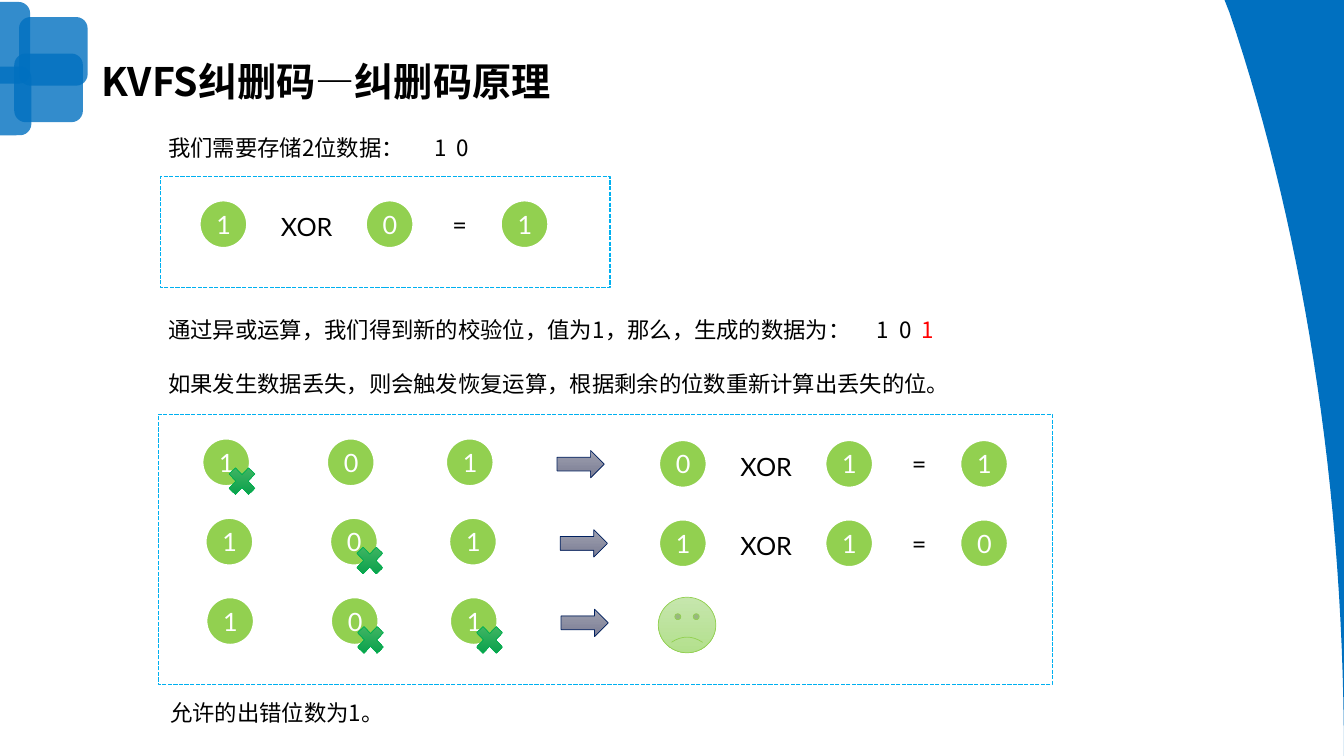
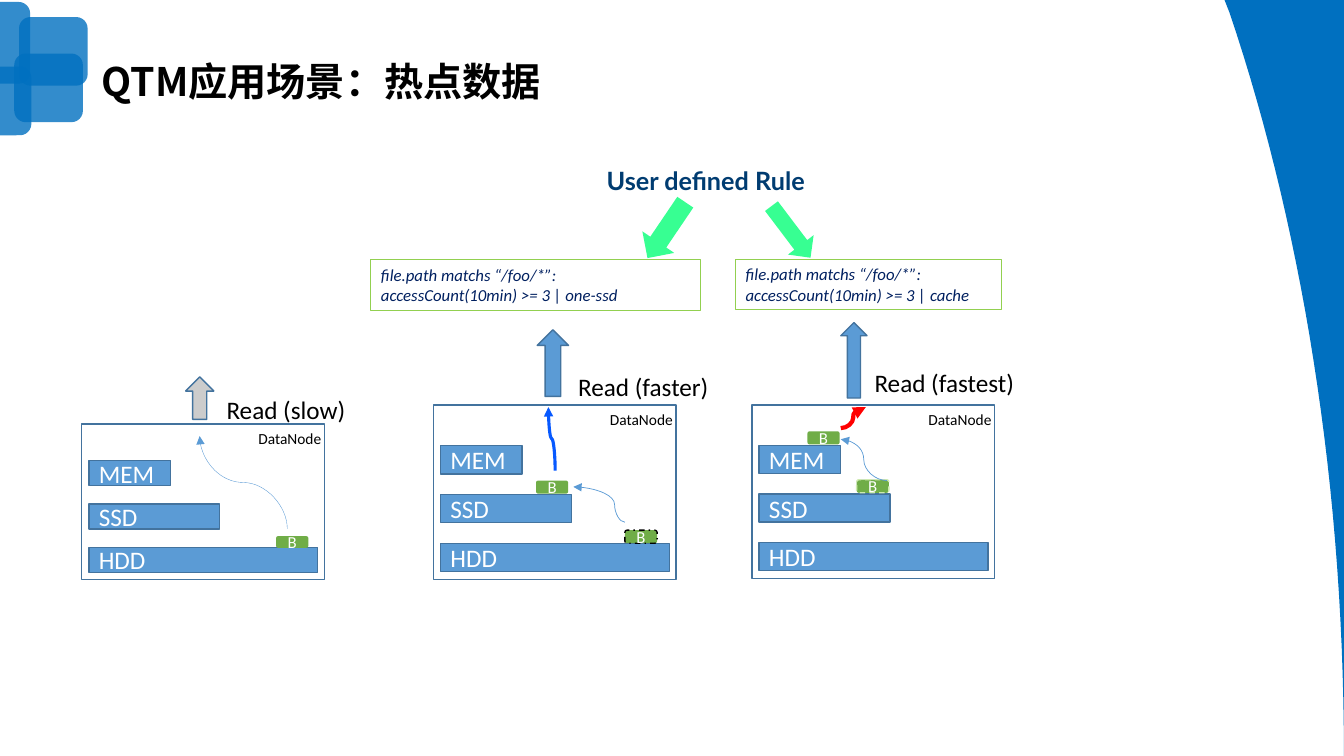
from dataclasses import dataclass

from lxml import etree
from pptx import Presentation
from pptx.dml.color import RGBColor
from pptx.enum import dml, shapes, text
from pptx.oxml.ns import qn
from pptx.util import Cm, Pt

SHAPE = shapes.MSO_SHAPE
DASH = dml.MSO_LINE


@dataclass(frozen=True)
class Theme:
    brand: str = "0070C0"
    ink: str = "000000"
    white: str = "FFFFFF"
    alert: str = "FF0000"
    bit: str = "92D050"
    frame: str = "00B0F0"
    navy: str = "002060"
    steel: tuple = ("9D9FAF", "7C7E94")
    cross: tuple = ("4BB968", "009C47")
    cross_edge: str = "00B050"
    face: tuple = ("C6E6AD", "B3E08D")
    tier: str = "5B9BD5"
    edge: str = "43739E"
    block: str = "70AD47"
    pale_block: str = "CEEAB0"
    idle: str = "CCCCCC"
    hot: str = "0759FF"
    heading: str = "003C71"
    pointer: str = "37FF92"
    cjk: str = "Noto Sans CJK SC"
    latin: str = "Lato"
    diagram: str = "Calibri"
    title_size: int = 28
    large: int = 18
    body: int = 16
    small: int = 12
    tiny: int = 11


T = Theme()


def rgb(value):
    return RGBColor.from_string(value)


def style_run(run, size, font, color, bold=False, italic=False):
    run.font.size = Pt(size)
    run.font.color.rgb = rgb(color)
    run.font.bold = bold
    run.font.italic = italic
    run.font.name = font
    etree.SubElement(run.font._element, qn("a:ea")).set("typeface", font)


def write(frame, content, size, font, color, align=text.PP_ALIGN.LEFT,
          anchor=text.MSO_ANCHOR.TOP, wrap=True, **emphasis):
    frame.text = content
    frame.word_wrap = wrap
    frame.vertical_anchor = anchor
    for paragraph in frame.paragraphs:
        paragraph.alignment = align
        for run in paragraph.runs:
            style_run(run, size, font, color, **emphasis)


def label(slide, x, y, w, h, content, size, font, color=T.ink, **options):
    frame = slide.shapes.add_textbox(Cm(x), Cm(y), Cm(w), Cm(h)).text_frame
    write(frame, content, size, font, color, **options)
    return frame


def paint(shape, fill=None, line=None, width=1, dash=None):
    shape.shadow.inherit = False
    if isinstance(fill, tuple):
        shape.fill.gradient()
        shape.fill.gradient_angle = 270
        for stop, color in zip(shape.fill.gradient_stops, fill):
            stop.color.rgb = rgb(color)
    elif fill:
        shape.fill.solid()
        shape.fill.fore_color.rgb = rgb(fill)
    else:
        shape.fill.background()
    if line:
        shape.line.color.rgb = rgb(line)
        shape.line.width = Pt(width)
        if dash:
            shape.line.dash_style = dash
    else:
        shape.line.fill.background()


def figure(slide, kind, x, y, w, h, fill=None, **outline):
    shape = slide.shapes.add_shape(kind, Cm(x), Cm(y), Cm(w), Cm(h))
    paint(shape, fill, **outline)
    return shape


def curved_arrow(slide, start, end, color, width, upward=False, bend=0.5):
    (x1, y1), (x2, y2) = start, end
    if upward:
        cx, cy = (x1 + x2) / 2, (y1 + y2) / 2
        half_w, half_h = abs(y2 - y1) / 2, abs(x2 - x1) / 2
        x1, y1, x2, y2 = cx - half_w, cy + half_h, cx + half_w, cy - half_h
    arrow = slide.shapes.add_connector(
        shapes.MSO_CONNECTOR.CURVE, Cm(x1), Cm(y1), Cm(x2), Cm(y2))
    arrow.line.color.rgb = rgb(color)
    arrow.line.width = Pt(width)
    properties = arrow._element.spPr
    if upward:
        properties.find(qn("a:xfrm")).set("rot", "16200000")
    geometry = properties.find(qn("a:prstGeom"))
    guides = geometry.find(qn("a:avLst"))
    if guides is None:
        guides = etree.SubElement(geometry, qn("a:avLst"))
    guide = etree.SubElement(guides, qn("a:gd"))
    guide.set("name", "adj1")
    guide.set("fmla", f"val {round(bend * 100000)}")
    line = properties.find(qn("a:ln"))
    etree.SubElement(line, qn("a:tailEnd")).set("type", "triangle")
    etree.SubElement(properties, qn("a:effectLst"))


def swoosh(slide):
    ends = ((33.87, 19.05), (33.87, 12.12), (32.79, 5.66), (30.99, 0.33))
    steps = 30
    curve = []
    for i in range(steps + 1):
        t = i / steps
        weights = ((1 - t) ** 3, 3 * t * (1 - t) ** 2, 3 * t * t * (1 - t), t ** 3)
        curve.append(tuple(Cm(sum(k * p[axis] for k, p in zip(weights, ends)))
                           for axis in (0, 1)))
    outline = slide.shapes.build_freeform(Cm(30.86), 0)
    outline.add_line_segments([(Cm(33.87), 0)] + curve, close=True)
    shape = outline.convert_to_shape()
    paint(shape, T.brand)
    return shape


def corner_tiles(slide):
    tiles = []
    for x, y, h in ((-0.97, 0.05, 2.06), (0.48, 0.43, 1.73),
                    (0.36, 1.35, 1.73), (-0.94, 1.68, 1.73)):
        tile = figure(slide, SHAPE.ROUNDED_RECTANGLE, x, y, 1.73, h, T.brand)
        color = tile._element.spPr.find(".//" + qn("a:srgbClr"))
        etree.SubElement(color, qn("a:alpha")).set("val", "80000")
        tiles.append(tile)
    return tiles


def decorate_layout(layout, slide):
    tree = layout.shapes.element
    for i, part in enumerate([swoosh(slide)] + corner_tiles(slide)):
        part._element.nvSpPr.cNvPr.set("id", str(100 + i))
        tree.insert(2 + i, part._element)


def place_title(slide, content):
    title = slide.shapes.title
    title.left, title.top, title.width, title.height = (
        Cm(2.31), Cm(1.38), Cm(28.75), Cm(1.47))
    write(title.text_frame, content, T.title_size, T.cjk, T.ink,
          anchor=text.MSO_ANCHOR.MIDDLE, bold=True)
    title.text_frame.paragraphs[0].line_spacing = 0.9


def add_tabs(paragraph, first, count, step=0.56):
    stops = etree.SubElement(paragraph._p.get_or_add_pPr(), qn("a:tabLst"))
    for i in range(count):
        stop = etree.SubElement(stops, qn("a:tab"))
        stop.set("pos", str(Cm(first + i * step)))
        stop.set("algn", "l")


def bit(slide, x, y, value):
    circle = figure(slide, SHAPE.OVAL, x, y, 1.2, 1.2, T.bit,
                    line=T.white, width=1.5)
    write(circle.text_frame, value, T.large, T.latin, T.white,
          text.PP_ALIGN.CENTER, text.MSO_ANCHOR.MIDDLE)


def equation(slide, x, y, values):
    for offset, value in zip((0, 4.19, 7.59), values):
        bit(slide, x + offset, y, value)
    label(slide, x + 1.8, y + 0.16, 2.39, 1.02, "XOR", T.large, T.latin)
    label(slide, x + 6.12, y + 0.09, 1.47, 1.02, "=", T.large, T.latin)


def dashed_frame(slide, x, y, w, h):
    figure(slide, SHAPE.RECTANGLE, x, y, w, h, T.white,
           line=T.frame, dash=DASH.SQUARE_DOT)


def recovery_row(slide, x, y, values, lost, solution):
    places = [x + offset for offset in (0, 3.14, 6.14)]
    for place, value in zip(places, values):
        bit(slide, place, y, value)
    for i in lost:
        figure(slide, SHAPE.MATH_MULTIPLY, places[i] + 0.53, y + 0.58, 0.94, 0.99,
               T.cross, line=T.cross_edge, width=0.5)
    figure(slide, SHAPE.RIGHT_ARROW, x + 8.94, y + 0.3, 1.19, 0.69,
           T.steel, line=T.navy, width=0.5)
    if solution:
        equation(slide, 16.61, y + 0.04, solution)
    else:
        face = figure(slide, SHAPE.SMILEY_FACE, 16.59, y, 1.45, 1.4,
                      T.face, line=T.bit, width=0.5)
        face.adjustments[0] = -0.05


def erasure_slide(slide):
    place_title(slide, "KVFS纠删码—纠删码原理")
    dashed_frame(slide, 4.04, 4.45, 11.33, 2.79)
    equation(slide, 5.03, 5.05, "101")
    stored = label(slide, 3.99, 3.25, 10.8, 0.94,
                   "我们需要存储2位数据：\t1\t0", T.body, T.cjk)
    add_tabs(stored.paragraphs[0], 6.7, 2)
    parity = label(slide, 3.99, 7.85, 21.06, 2.31,
                   "通过异或运算，我们得到新的校验位，值为1，那么，生成的数据为：\t1\t0\t\n"
                   "如果发生数据丢失，则会触发恢复运算，根据剩余的位数重新计算出丢失的位。",
                   T.body, T.cjk)
    generated, recovery = parity.paragraphs
    add_tabs(generated, 17.86, 3)
    check_bit = generated.add_run()
    check_bit.text = "1"
    style_run(check_bit, T.body, T.cjk, T.alert)
    recovery.space_before = Pt(19)
    dashed_frame(slide, 3.99, 10.44, 22.53, 6.81)
    rows = ((5.1, "101", (0,), "011"), (5.18, "101", (1,), "110"),
            (5.2, "101", (1, 2), None))
    for i, (x, values, lost, solution) in enumerate(rows):
        recovery_row(slide, x, 11.05 + 2 * i, values, lost, solution)
    label(slide, 4.04, 17.5, 10.8, 0.94, "允许的出错位数为1。", T.body, T.cjk)


def data_node(slide, x, y, h, caption, caption_at, arrow, arrow_fill, blocks, moves):
    label(slide, x + 4.2, y, 2.11, 0.8, "DataNode", T.tiny, T.diagram, wrap=False)
    figure(slide, SHAPE.RECTANGLE, x, y, 6.12, h, line=T.edge)
    for i, (name, width) in enumerate((("MEM", 2.06), ("SSD", 3.3), ("HDD", 5.77))):
        tier = figure(slide, SHAPE.RECTANGLE, x + 0.18, y + (0.233 + 0.28 * i) * h,
                      width, 0.162 * h, T.tier, line=T.edge)
        write(tier.text_frame, name, T.large, T.diagram, T.white,
              anchor=text.MSO_ANCHOR.MIDDLE)
    for dx, dy, outline in blocks:
        block = figure(slide, SHAPE.FLOWCHART_ALTERNATE_PROCESS, x + dx, y + dy,
                       0.81, 0.075 * h, T.block, **outline)
        block.text_frame.margin_top = block.text_frame.margin_bottom = 0
        write(block.text_frame, "B", T.small, T.diagram, T.white,
              text.PP_ALIGN.CENTER, text.MSO_ANCHOR.MIDDLE)
    dx, dy, width, height = arrow
    figure(slide, SHAPE.UP_ARROW, x + dx, y + dy, width, height,
           arrow_fill, line=T.edge)
    dx, dy = caption_at
    label(slide, x + dx, y + dy, 4.4, 1.02, caption, T.large, T.diagram, wrap=False)
    for (x1, y1), (x2, y2), color, width, options in moves:
        curved_arrow(slide, (x + x1, y + y1), (x + x2, y + y2), color, width, **options)


def rule_box(slide, x, y, w, action):
    box = figure(slide, SHAPE.RECTANGLE, x, y, w, 1.27, line=T.bit, width=0.75)
    write(box.text_frame, "file.path matchs “/foo/*”:\n"
          f"accessCount(10min) >= 3 | {action}",
          T.small, T.diagram, T.navy, italic=True)


def hot_data_slide(slide):
    place_title(slide, "QTM应用场景：热点数据")
    data_node(slide, 2.06, 10.69, 3.91, "Read (slow)", (3.4, -0.89),
              (2.62, -1.19, 0.71, 1.07), T.idle, [(4.9, 2.82, {})],
              [((5.18, 2.64), (2.97, 0.3), T.tier, 0.25, {"upward": True})])
    data_node(slide, 10.92, 10.21, 4.39, "Read (faster)", (3.4, -0.99),
              (2.62, -1.9, 0.79, 1.68), T.tier,
              [(2.59, 1.9, {}),
               (4.83, 3.15, {"line": T.ink, "dash": DASH.DASH_DOT})],
              [((3.07, 1.65), (2.9, 0.05), T.hot, 2.25, {"upward": True}),
               ((4.83, 2.95), (3.53, 2.06), T.tier, 0.5, {"bend": 0.2})])
    data_node(slide, 18.95, 10.21, 4.37, "Read (fastest)", (2.84, -1.07),
              (2.24, -2.08, 0.66, 1.9), T.tier,
              [(1.4, 0.66, {}),
               (2.64, 1.88, {"line": T.pale_block, "dash": DASH.DASH})],
              [((2.24, 0.58), (2.87, 0.05), T.alert, 3, {}),
               ((3.4, 1.9), (2.24, 0.86), T.tier, 0.5, {})])
    rule_box(slide, 9.35, 6.55, 8.31, "one-ssd")
    rule_box(slide, 18.54, 6.53, 6.71, "cache")
    heading = label(slide, 15.29, 4.17, 6.91, 0.76, "User defined Rule",
                    T.large, T.latin, T.heading, bold=True)
    heading.margin_left = heading.margin_right = 0
    heading.margin_top = heading.margin_bottom = 0
    for x, y, w, h, angle in ((16.31, 4.95, 0.97, 1.7, 34.1),
                              (19.53, 5.03, 0.81, 1.63, 322.9)):
        figure(slide, SHAPE.DOWN_ARROW, x, y, w, h, T.pointer).rotation = angle


def main():
    deck = Presentation()
    deck.slide_width, deck.slide_height = Cm(33.87), Cm(19.05)
    layout = deck.slide_layouts[5]
    erasure, hot_data = (deck.slides.add_slide(layout) for _ in range(2))
    decorate_layout(layout, erasure)
    erasure_slide(erasure)
    hot_data_slide(hot_data)
    deck.save("out.pptx")


if __name__ == "__main__":
    main()
